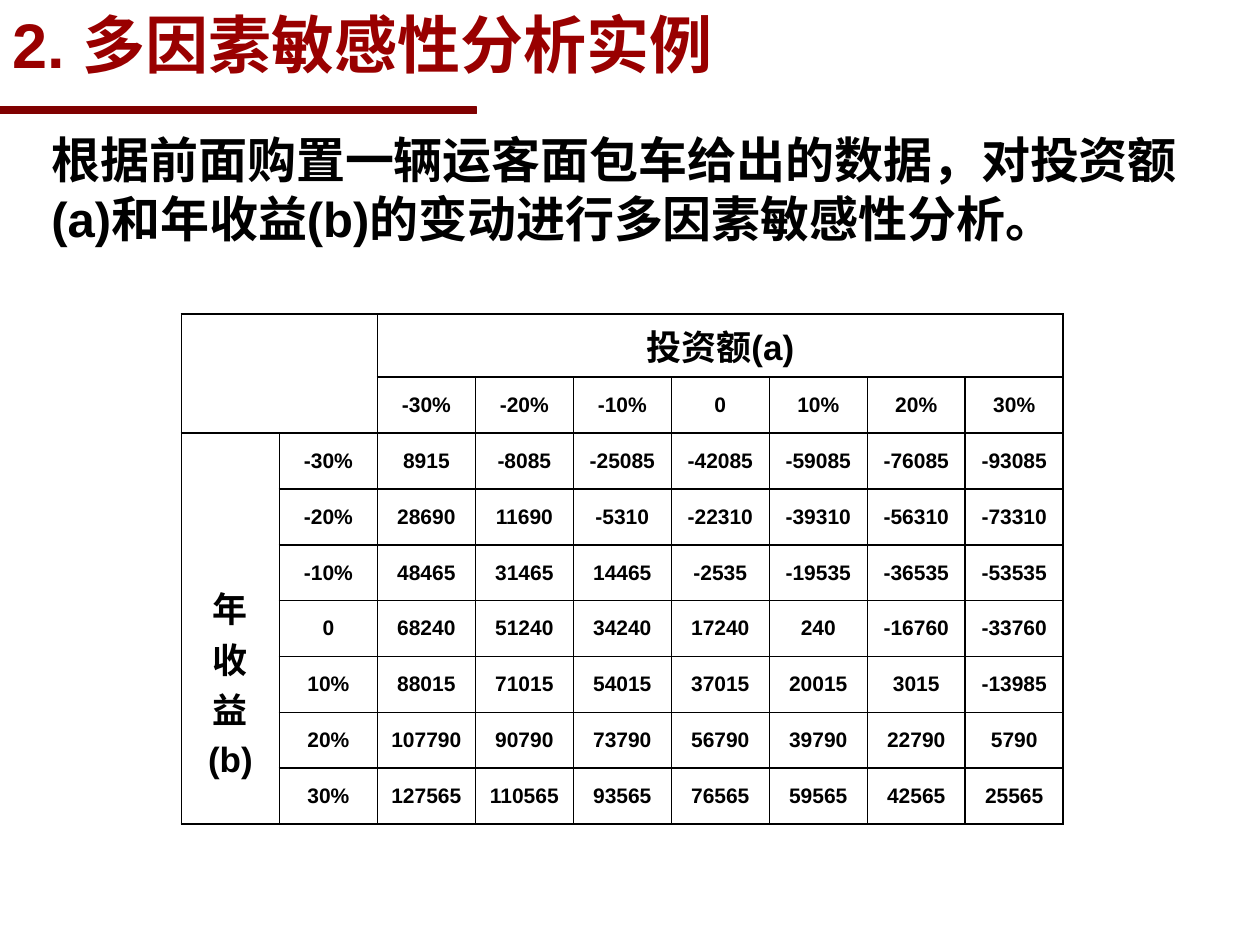
import pptx
import pptx.util
import pptx.dml.color
import pptx.enum.shapes
import pptx.enum.text
import pptx.oxml

COLORS = {"title": "990000", "rule": "800000", "text": "000000", "background": "FFFFFF"}
STEPS = ["-30%", "-20%", "-10%", "0", "10%", "20%", "30%"]
FIRST_VALUE = 8915
INVESTMENT_STEP = -17000
INCOME_STEP = 19775


def color(name):
    return pptx.dml.color.RGBColor.from_string(COLORS[name])


def write(frame, text, size, color_name="text", align="LEFT", space_before=0, line_spacing=None):
    """Fill a text frame; each line of text becomes a paragraph."""
    for index, line in enumerate(text.split("\n")):
        paragraph = frame.paragraphs[0] if index == 0 else frame.add_paragraph()
        paragraph.text = line
        paragraph.alignment = getattr(pptx.enum.text.PP_ALIGN, align)
        paragraph.space_before = pptx.util.Pt(space_before if index else 0)
        if line_spacing:
            paragraph.line_spacing = line_spacing
        font = paragraph.font
        font.name = "Arial"
        font.size = pptx.util.Pt(size)
        font.bold = True
        font.color.rgb = color(color_name)


class SlideBuilder:
    """Holds the slide; places are shares of its width and height."""

    def __init__(self, presentation):
        self.width = presentation.slide_width
        self.height = presentation.slide_height
        self.slide = presentation.slides.add_slide(presentation.slide_layouts[5])

    def box(self, left, top, width, height):
        return (int(left * self.width), int(top * self.height),
                int(width * self.width), int(height * self.height))

    def rule(self, *place):
        shape = self.slide.shapes.add_shape(
            pptx.enum.shapes.MSO_SHAPE.RECTANGLE, *self.box(*place))
        shape.shadow.inherit = False
        shape.fill.solid()
        shape.fill.fore_color.rgb = color("rule")
        shape.line.color.rgb = color("rule")
        shape.line.width = pptx.util.Pt(0.75)

    def title(self, text, *place):
        shape = self.slide.shapes.title
        shape.left, shape.top, shape.width, shape.height = self.box(*place)
        shape.fill.solid()
        shape.fill.fore_color.rgb = color("background")
        frame = shape.text_frame
        frame.auto_size = pptx.enum.text.MSO_AUTO_SIZE.NONE
        frame.vertical_anchor = pptx.enum.text.MSO_ANCHOR.MIDDLE
        write(frame, text, 36, "title")

    def text(self, text, *place, **style):
        frame = self.slide.shapes.add_textbox(*self.box(*place)).text_frame
        frame.word_wrap = True
        write(frame, text, **style)

    def table(self, rows, columns, *place):
        shape = self.slide.shapes.add_table(rows, columns, *self.box(*place))
        table = shape.table
        table.first_row = table.horz_banding = False
        for cell in table.iter_cells():
            self.format_cell(cell)
        return table

    def format_cell(self, cell):
        cell.vertical_anchor = pptx.enum.text.MSO_ANCHOR.MIDDLE
        properties = cell._tc.get_or_add_tcPr()
        for side in ("lnL", "lnR", "lnT", "lnB"):
            properties.append(pptx.oxml.parse_xml(
                f'<a:{side} xmlns:a="http://schemas.openxmlformats.org/drawingml/2006/main" '
                f'w="12700"><a:solidFill><a:srgbClr val="{COLORS["text"]}"/></a:solidFill>'
                f'</a:{side}>'))
        cell.fill.background()


def fill_sensitivity(table):
    table.cell(0, 0).merge(table.cell(1, 1))
    table.cell(0, 2).merge(table.cell(0, 8))
    table.cell(2, 0).merge(table.cell(8, 0))
    write(table.cell(0, 2).text_frame, "投资额(a)", 20, align="CENTER")
    income = table.cell(2, 0)
    income.margin_top = pptx.util.Inches(0.88)
    write(income.text_frame, "年\v收\v益\n(b)", 20, align="CENTER", space_before=4)
    for index, step in enumerate(STEPS):
        for cell in (table.cell(1, index + 2), table.cell(index + 2, 1)):
            write(cell.text_frame, step, 12, align="CENTER")
        for column in range(len(STEPS)):
            value = FIRST_VALUE + index * INCOME_STEP + column * INVESTMENT_STEP
            write(table.cell(index + 2, column + 2).text_frame, str(value), 12, align="CENTER")


def main():
    presentation = pptx.Presentation()
    presentation.slide_width = pptx.util.Inches(10)
    presentation.slide_height = pptx.util.Inches(7.5)
    builder = SlideBuilder(presentation)
    builder.rule(-0.001, 0.85 / 7.5, 0.379, 0.05 / 7.5)
    builder.title("2. 多因素敏感性分析实例", 0, 0.01 / 7.5, 0.894, 0.67 / 7.5)
    fill_sensitivity(builder.table(9, 9, 0.144, 2.49 / 7.5, 0.7, 3.99 / 7.5))
    builder.text("根据前面购置一辆运客面包车给出的数据，对投资额(a)和年收益(b)的变动进行多因素敏感性分析。",
                 0.031, 0.98 / 7.5, 0.925, 0.2, size=28)
    presentation.save("out.pptx")


if __name__ == "__main__":
    main()
